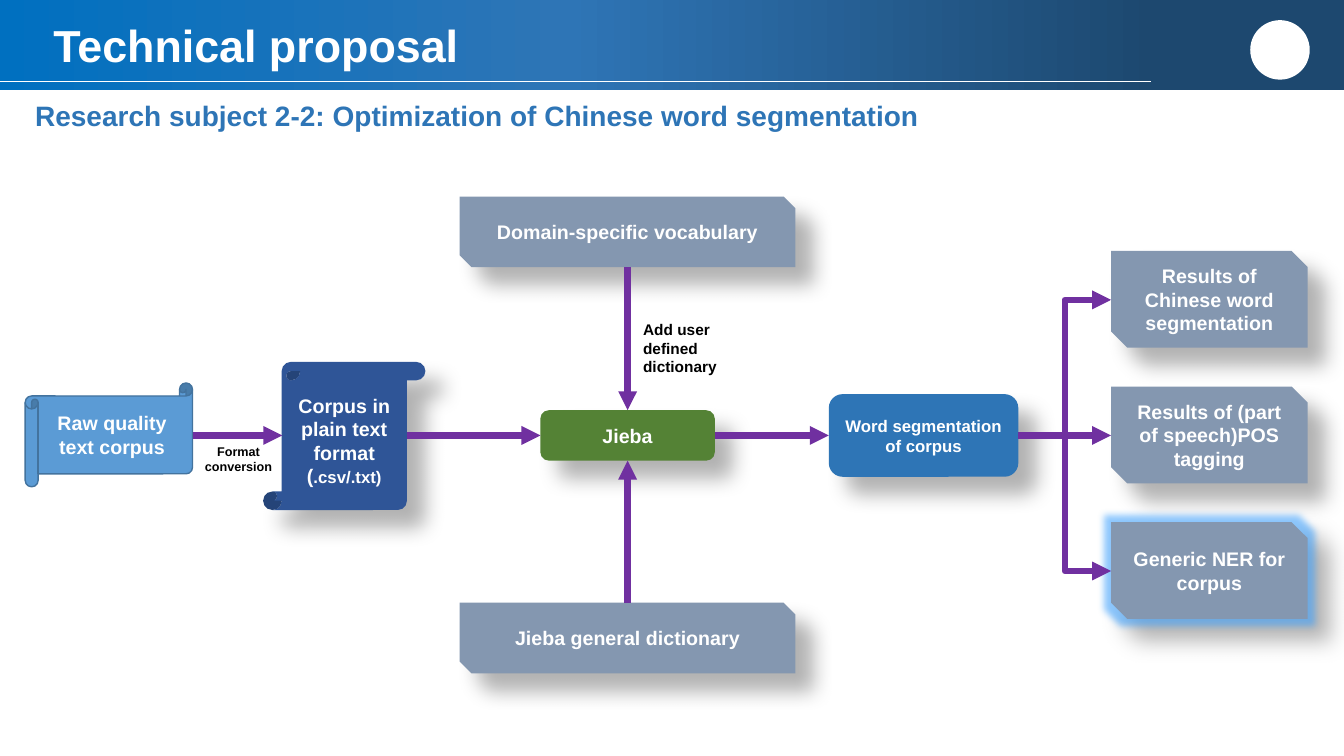
from copy import deepcopy

from lxml import etree
from pptx import Presentation
from pptx.dml.color import RGBColor
from pptx.enum.shapes import MSO_CONNECTOR, MSO_SHAPE
from pptx.enum.text import MSO_ANCHOR, PP_ALIGN
from pptx.oxml.ns import qn
from pptx.util import Inches, Pt

FONT = "Arial"
WHITE, BLACK = "FFFFFF", "000000"
BLUE, SLATE, PURPLE = "2E75B6", "8497B0", "7030A0"
HEADER_STOPS = [(0, "0070C0"), (0.42, BLUE), (0.86, "1D486F")]
FLOW_Y = 4.32
DICTIONARY_X, DICTIONARY_W, DICTIONARY_H = 4.56, 3.33, 0.7
RESULT_X, RESULT_W, RESULT_H = 11.02, 1.95, 0.96
RESULT_TOP, RESULT_STEP = 2.49, 1.345


def rgb(value):
    return RGBColor.from_string(value)


def add_effect(effects, tag, color, alpha, **attributes):
    effect = etree.SubElement(effects, qn(tag), **attributes)
    fill = etree.SubElement(effect, qn("a:srgbClr"), val=color)
    etree.SubElement(fill, qn("a:alpha"), val=str(alpha * 1000))


def add_shadow(shape, glow=False):
    effects = shape._element.spPr.find(qn("a:effectLst"))
    if glow:
        add_effect(effects, "a:glow", "45A5FF", 60, rad=str(Pt(10)))
    add_effect(effects, "a:outerShdw", BLACK, 30, blurRad=str(Pt(15)),
               dist=str(Pt(18)), dir=str(45 * 60000), algn="tl", rotWithShape="0")


def write(frame, runs, color, align=PP_ALIGN.LEFT):
    paragraph = frame.paragraphs[0]
    paragraph.alignment = align
    for text, size in runs:
        run = paragraph.add_run()
        run.text = text
        run.font.size = Pt(size)
        run.font.name = FONT
        run.font.bold = True
        run.font.color.rgb = rgb(color)


def add_shape(slide, kind, x, y, w, h, fill=WHITE):
    shape = slide.shapes.add_shape(kind, Inches(x), Inches(y), Inches(w), Inches(h))
    shape.shadow.inherit = False
    shape.fill.solid()
    shape.fill.fore_color.rgb = rgb(fill)
    shape.line.fill.background()
    return shape


def add_node(slide, kind, box, fill, *runs, shadow=True, glow=False):
    node = add_shape(slide, kind, *box, fill)
    if shadow:
        add_shadow(node, glow)
    frame = node.text_frame
    frame.word_wrap = True
    frame.vertical_anchor = MSO_ANCHOR.MIDDLE
    write(frame, runs, WHITE, PP_ALIGN.CENTER)
    return node


def add_text(slide, box, text, size, color, align=PP_ALIGN.LEFT, wrap=True):
    frame = slide.shapes.add_textbox(*map(Inches, box)).text_frame
    frame.word_wrap = wrap
    write(frame, [(text, size)], color, align)
    return frame


def add_line(slide, start, end, color, width, kind=MSO_CONNECTOR.STRAIGHT):
    line = slide.shapes.add_connector(kind, *map(Inches, start + end))
    line.line.color.rgb = rgb(color)
    line.line.width = Pt(width)
    etree.SubElement(line._element.spPr, qn("a:effectLst"))
    return line


def add_arrow(slide, start, end, kind=MSO_CONNECTOR.STRAIGHT):
    arrow = add_line(slide, start, end, PURPLE, 4.5, kind)
    etree.SubElement(arrow.line._get_or_add_ln(), qn("a:tailEnd"), type="triangle")


def add_header(slide):
    band = add_shape(slide, MSO_SHAPE.RECTANGLE, 0, 0, 13.33, 0.89)
    band.fill.gradient()
    band.fill.gradient_angle = 0
    stop_list = band._element.spPr.find(".//" + qn("a:gsLst"))
    stop_list.append(deepcopy(stop_list[-1]))
    for stop, (position, color) in zip(band.fill.gradient_stops, HEADER_STOPS):
        stop.position = position
        stop.color.rgb = rgb(color)
    add_line(slide, (0, 0.81), (11.42, 0.81), WHITE, 0.5)
    add_shape(slide, MSO_SHAPE.OVAL, 12.4, 0.2, 0.59, 0.59)
    title = add_text(slide, (0.43, 0.24, 11.22, 0.48), "Technical proposal", 32, WHITE)
    title.vertical_anchor = MSO_ANCHOR.MIDDLE
    title.paragraphs[0].line_spacing = 0.9
    add_text(slide, (0.25, 0.93, 9.1, 0.57),
             "Research subject 2-2: Optimization of Chinese word segmentation",
             20, BLUE, wrap=False)


def add_pipeline(slide):
    raw = add_node(slide, MSO_SHAPE.HORIZONTAL_SCROLL, (0.25, 3.8, 1.66, 1.03), "5B9BD5",
                   ("Raw quality text corpus", 14), shadow=False)
    raw.line.color.rgb = rgb("43739E")
    raw.line.width = Pt(1)
    add_node(slide, MSO_SHAPE.VERTICAL_SCROLL, (2.61, 3.59, 1.61, 1.47), "2F5597",
             ("Corpus in plain text format (", 14), (".csv/.txt)", 12))
    add_node(slide, MSO_SHAPE.ROUNDED_RECTANGLE, (5.36, 4.07, 1.73, 0.5), "548235",
             ("Jieba", 14))
    add_node(slide, MSO_SHAPE.ROUNDED_RECTANGLE, (8.22, 3.91, 1.88, 0.82), BLUE,
             ("Word segmentation of corpus", 12))
    for left, right in [(1.91, 2.8), (4.04, 5.36), (7.09, 8.22)]:
        add_arrow(slide, (left, FLOW_Y), (right, FLOW_Y))
    conversion = add_text(slide, (1.89, 4.35, 0.95, 0.4), "Format conversion", 9, BLACK,
                          PP_ALIGN.CENTER)
    conversion.margin_left = conversion.margin_right = 0


def add_dictionaries(slide):
    center = DICTIONARY_X + DICTIONARY_W / 2
    for text, top, start, end in [
        ("Domain-specific vocabulary", 1.95, 2.65, 4.07),
        ("Jieba general dictionary", 5.98, 5.98, 4.57),
    ]:
        add_node(slide, MSO_SHAPE.SNIP_2_DIAG_RECTANGLE,
                 (DICTIONARY_X, top, DICTIONARY_W, DICTIONARY_H), SLATE, (text, 14))
        add_arrow(slide, (center, start), (center, end))
    add_text(slide, (6.28, 3.13, 1.06, 0.66), "Add user defined dictionary", 11, BLACK)


def add_results(slide):
    results = [
        ("Results of Chinese word segmentation", MSO_CONNECTOR.ELBOW, False),
        ("Results of (part of speech)POS tagging", MSO_CONNECTOR.STRAIGHT, False),
        ("Generic NER for corpus", MSO_CONNECTOR.ELBOW, True),
    ]
    for index, (text, connector, glow) in enumerate(results):
        top = RESULT_TOP + index * RESULT_STEP
        add_node(slide, MSO_SHAPE.SNIP_2_DIAG_RECTANGLE,
                 (RESULT_X, top, RESULT_W, RESULT_H), SLATE, (text, 14), glow=glow)
        end_y = FLOW_Y + (index - 1) * RESULT_STEP
        add_arrow(slide, (10.1, FLOW_Y), (RESULT_X, end_y), connector)


def main():
    presentation = Presentation()
    presentation.slide_width = Inches(13.33)
    presentation.slide_height = Inches(7.5)
    slide = presentation.slides.add_slide(presentation.slide_layouts[6])
    add_header(slide)
    add_pipeline(slide)
    add_dictionaries(slide)
    add_results(slide)
    presentation.save("out.pptx")


main()
